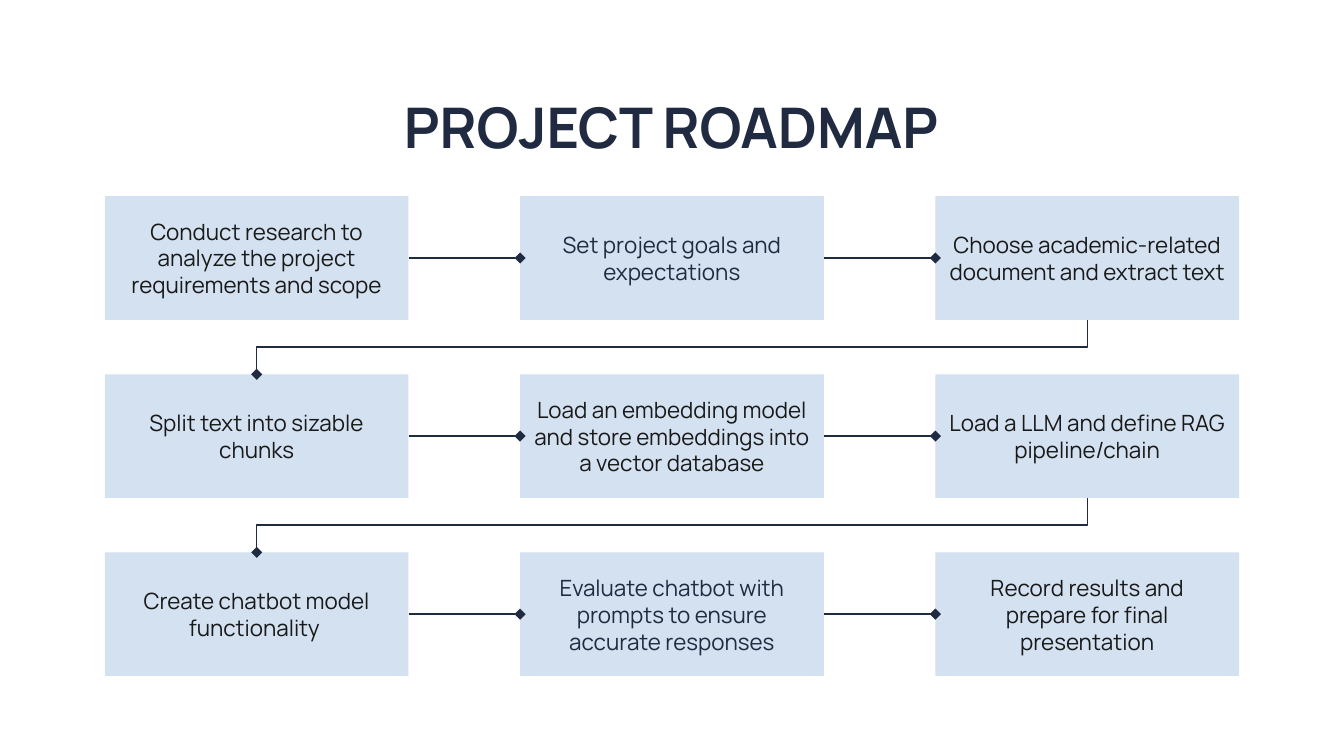
from dataclasses import dataclass

from lxml import etree
from pptx import Presentation
from pptx import util as u
from pptx.dml.color import RGBColor
from pptx.enum import shapes, text
from pptx.oxml.ns import qn
from pptx.shapes.autoshape import Shape
from pptx.shapes.connector import Connector
from pptx.slide import Slide
from pptx.text.text import TextFrame

NAVY = RGBColor(0x20, 0x2A, 0x41)
BLACK = RGBColor(0x19, 0x19, 0x19)
PALE_BLUE = RGBColor(0xD3, 0xE1, 0xF1)
FONT = "Manrope"

SLIDE_WIDTH = 10
SLIDE_HEIGHT = SLIDE_WIDTH * 9 / 16
COLUMNS, ROWS = 3, 3
BOX_WIDTH, BOX_HEIGHT = 2.26, 0.92
COLUMN_GAP = 0.83
GRID_LEFT = (SLIDE_WIDTH - COLUMNS * BOX_WIDTH - (COLUMNS - 1) * COLUMN_GAP) / 2
GRID_TOP, GRID_BOTTOM = 1.46, 5.03
ROW_GAP = (GRID_BOTTOM - GRID_TOP - ROWS * BOX_HEIGHT) / (ROWS - 1)

# Connection sites of a rectangle
TOP, LEFT, BOTTOM, RIGHT = range(4)


@dataclass(frozen=True)
class Step:
    label: str
    color: RGBColor = BLACK


STEPS = [
    Step("Conduct research to analyze the project requirements and scope"),
    Step("Set project goals and expectations", NAVY),
    Step("Choose academic-related document and extract text"),
    Step("Split text into sizable chunks"),
    Step("Load an embedding model and store embeddings into a vector database"),
    Step("Load a LLM and define RAG pipeline/chain"),
    Step("Create chatbot model functionality "),
    Step("Evaluate chatbot with prompts to ensure accurate responses", NAVY),
    Step("Record results and prepare for final presentation"),
]


def write_centered(frame: TextFrame, label: str, size: float, color: RGBColor,
                   anchor: text.MSO_ANCHOR, bold: bool = False) -> None:
    frame.word_wrap = True
    frame.auto_size = text.MSO_AUTO_SIZE.NONE
    frame.vertical_anchor = anchor
    frame.margin_left = frame.margin_right = u.Inches(0.1)
    frame.margin_top = frame.margin_bottom = u.Inches(0.1)
    paragraph = frame.paragraphs[0]
    paragraph.alignment = text.PP_ALIGN.CENTER
    paragraph.line_spacing = 1.0
    paragraph.space_before = u.Pt(0)
    run = paragraph.add_run()
    run.text = label
    run.font.name = FONT
    run.font.size = u.Pt(size)
    run.font.bold = bold
    run.font.color.rgb = color


def add_title(slide: Slide, label: str) -> None:
    title = slide.shapes.title
    title.left, title.top = u.Inches(0.78), u.Inches(0.59)
    title.width, title.height = u.Inches(8.43), u.Inches(0.63)
    write_centered(title.text_frame, label, 30, NAVY, text.MSO_ANCHOR.TOP, bold=True)


def add_step(slide: Slide, step: Step, index: int) -> Shape:
    row, column = divmod(index, COLUMNS)
    shape = slide.shapes.add_shape(
        shapes.MSO_SHAPE.RECTANGLE,
        u.Inches(GRID_LEFT + column * (BOX_WIDTH + COLUMN_GAP)),
        u.Inches(GRID_TOP + row * (BOX_HEIGHT + ROW_GAP)),
        u.Inches(BOX_WIDTH), u.Inches(BOX_HEIGHT))
    shape.shadow.inherit = False
    shape.fill.solid()
    shape.fill.fore_color.rgb = PALE_BLUE
    shape.line.fill.background()
    write_centered(shape.text_frame, step.label, 12, step.color, text.MSO_ANCHOR.MIDDLE)
    return shape


def style_connector(connector: Connector) -> None:
    connector.line.color.rgb = NAVY
    connector.line.width = u.Pt(0.75)
    properties = connector._element.spPr
    line = properties.find(qn("a:ln"))
    etree.SubElement(line, qn("a:tailEnd"), type="diamond")
    etree.SubElement(properties, qn("a:effectLst"))


def turn_quarter(connector: Connector) -> None:
    """Turn an elbow running right-to-left so that it leaves and arrives vertically."""
    left, top = connector.left, connector.top
    width, height = connector.width, connector.height
    connector.left = left + (width - height) // 2
    connector.top = top + (height - width) // 2
    connector.width, connector.height = height, width
    frame = connector._element.spPr.find(qn("a:xfrm"))
    frame.attrib.pop("flipH", None)
    frame.set("rot", "5400000")


def link_steps(slide: Slide, start: Shape, end: Shape) -> None:
    same_row = start.top == end.top
    kind = shapes.MSO_CONNECTOR.STRAIGHT if same_row else shapes.MSO_CONNECTOR.ELBOW
    connector = slide.shapes.add_connector(kind, 0, 0, 0, 0)
    connector.begin_connect(start, RIGHT if same_row else BOTTOM)
    connector.end_connect(end, LEFT if same_row else TOP)
    if not same_row:
        turn_quarter(connector)
    style_connector(connector)


def main() -> None:
    presentation = Presentation()
    presentation.slide_width = u.Inches(SLIDE_WIDTH)
    presentation.slide_height = u.Inches(SLIDE_HEIGHT)
    title_only = presentation.slide_layouts.get_by_name("Title Only")
    slide = presentation.slides.add_slide(title_only)

    add_title(slide, "PROJECT ROADMAP")
    boxes = [add_step(slide, step, index) for index, step in enumerate(STEPS)]
    for start, end in zip(boxes, boxes[1:]):
        link_steps(slide, start, end)

    presentation.save("out.pptx")


if __name__ == "__main__":
    main()
